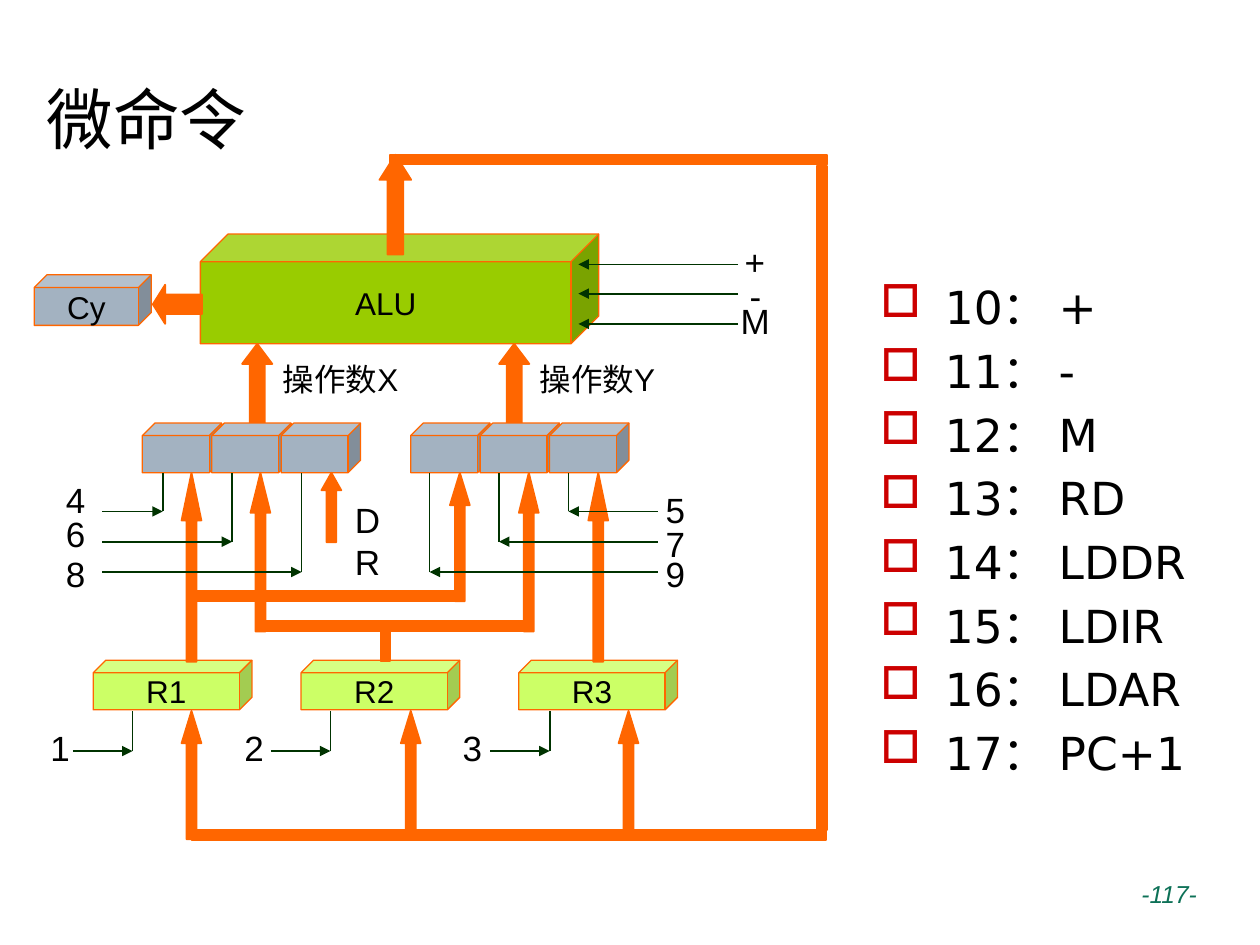
from pptx import Presentation
from pptx import util as u
from pptx.dml.color import RGBColor
from pptx.enum import shapes, text
from pptx.oxml.ns import qn
from lxml import etree

BLACK = RGBColor(0x00, 0x00, 0x00)
ORANGE = RGBColor(0xFF, 0x66, 0x00)
ALU_GREEN = RGBColor(0x99, 0xCC, 0x00)
REGISTER_GREEN = RGBColor(0xCC, 0xFF, 0x66)
GREY = RGBColor(0xA3, 0xB2, 0xC1)
SIGNAL_GREEN = RGBColor(0x00, 0x33, 0x00)
PAGE_GREEN = RGBColor(0x0D, 0x71, 0x57)
BULLET_RED = "CC0000"
CJK_FONT = "Noto Sans CJK SC"

INPUT_TOP, INPUT_BOTTOM = 8.53, 9.53
REGISTER_TOP, REGISTER_BOTTOM = 13.31, 14.33
BAR = 0.2
COMMANDS = ["10： +", "11： -", "12： M", "13： RD", "14： LDDR",
            "15： LDIR", "16： LDAR", "17： PC+1"]


def cm(*lengths):
    return [u.Cm(length) for length in lengths]


def style(para, size, font="Arial", color=BLACK, align=None):
    para.alignment = align
    para.font.size = u.Pt(size)
    para.font.name = font
    para.font.color.rgb = color
    defaults = para._p.pPr.find(qn("a:defRPr"))
    etree.SubElement(defaults, qn("a:ea"), typeface=CJK_FONT)


def add_text(page, words, x, y, w, h, size=20, wrap=False,
             align=text.PP_ALIGN.CENTER, **look):
    box = page.shapes.add_textbox(*cm(x, y, w, h))
    frame = box.text_frame
    frame.word_wrap = wrap
    para = frame.paragraphs[0]
    para.text = words
    style(para, size, align=align, **look)
    return box


def add_block(page, kind, x, y, w, h, fill, line_width=1):
    block = page.shapes.add_shape(kind, *cm(x, y, w, h))
    block.shadow.inherit = False
    block.fill.solid()
    block.fill.fore_color.rgb = fill
    block.line.color.rgb = ORANGE
    block.line.width = u.Pt(line_width)
    return block


def add_cube(page, x, y, w, h, fill, words=""):
    cube = add_block(page, shapes.MSO_SHAPE.CUBE, x, y, w, h, fill, 0.75)
    cube.adjustments[0] = 0.252
    if words:
        frame = cube.text_frame
        frame.word_wrap = False
        frame.vertical_anchor = text.MSO_ANCHOR.MIDDLE
        frame.text = words
        style(frame.paragraphs[0], 18, align=text.PP_ALIGN.CENTER)


def add_arrow(page, x, y, w, h, head, rotation=180):
    arrow = add_block(page, shapes.MSO_SHAPE.DOWN_ARROW, x, y, w, h, ORANGE)
    arrow.adjustments[0] = 0.5
    arrow.adjustments[1] = head
    arrow.rotation = rotation


def add_bus_arrow(page, x, y, h):
    add_arrow(page, x, y, 0.4, h, 0.63 * h)


def add_bar(page, x, y, w, h):
    add_block(page, shapes.MSO_SHAPE.RECTANGLE, x, y, w, h, ORANGE)


def add_line(page, x1, y1, x2, y2, arrow=False):
    line = page.shapes.add_connector(
        shapes.MSO_CONNECTOR.STRAIGHT, *cm(x1, y1, x2, y2))
    line.line.color.rgb = SIGNAL_GREEN
    line.line.width = u.Pt(1)
    if arrow:
        etree.SubElement(line.line._get_or_add_ln(), qn("a:tailEnd"),
                         type="triangle")
    etree.SubElement(line._element.spPr, qn("a:effectLst"))


def add_signal(page, name, label_x, label_y, start, end, y, top):
    add_line(page, start, y, end, y, arrow=True)
    add_line(page, end, y, end, top)
    add_text(page, name, label_x, label_y, 0.91, 1.09)


def add_commands(page):
    box = page.shapes.add_textbox(*cm(17.5, 5.51, 6.86, 11.38))
    frame = box.text_frame
    frame.word_wrap = True
    for index, command in enumerate(COMMANDS):
        para = frame.add_paragraph() if index else frame.paragraphs[0]
        para.text = command
        props = para._p.get_or_add_pPr()
        props.set("marL", str(u.Cm(1.3)))
        props.set("indent", str(-u.Cm(1.3)))
        color = etree.SubElement(props, qn("a:buClr"))
        etree.SubElement(color, qn("a:srgbClr"), val=BULLET_RED)
        etree.SubElement(props, qn("a:buChar"), char="□")
        if index:
            para.space_before = u.Pt(5.2)
        style(para, 26, font="DejaVu Sans")


def add_alu(page):
    add_cube(page, 4.04, 4.72, 8.03, 2.21, ALU_GREEN, "ALU")
    add_cube(page, 0.69, 5.54, 2.36, 1.02, GREY, "Cy")
    add_arrow(page, 3.18, 5.64, 0.79, 0.99, 0.314, rotation=90)
    add_arrow(page, 7.65, 3.12, 0.64, 2.01, 0.788)
    for operand, x in (("X", 4.88), ("Y", 10.06)):
        add_arrow(page, x, 6.93, 0.61, 1.6, 0.665)
        add_text(page, "操作数" + operand, x + 0.18, 7.14, 3.61, 1.02,
                 size=18, wrap=True)
    for y in (5.33, 5.92, 6.53):
        add_line(page, 14.88, y, 11.66, y, arrow=True)
    for name, x, y, w in (("+", 14.76, 4.72, 0.91), ("-", 14.86, 5.41, 0.74),
                          ("M", 14.68, 5.92, 1.09)):
        add_text(page, name, x, y, w, 1.09)


def add_datapath(page):
    for left in (2.87, 8.28):
        for index in range(3):
            add_cube(page, left + 1.4 * index, INPUT_TOP, 1.6, 1, GREY)
    for name, x in (("R1", 1.88), ("R2", 6.07), ("R3", 10.46)):
        add_cube(page, x, REGISTER_TOP, 3.2, 1, REGISTER_GREEN, name)
    for x, h in ((3.66, 3.81), (11.86, 3.81), (9.07, 2.59),
                 (5.05, 3.2), (10.46, 3.2), (6.48, 1.4)):
        add_bus_arrow(page, x, INPUT_BOTTOM, h)
    for x in (3.66, 8.08, 12.47):
        add_bus_arrow(page, x, REGISTER_BOTTOM, 2.59)
    for x, y, length in ((7.87, 3.12, 8.81), (5.26, 12.52, 5.38),
                         (3.86, 11.91, 5.41), (3.86, 16.74, 12.8)):
        add_bar(page, x, y, length, BAR)
    for x, y, length in ((16.47, 3.34, 13.39), (7.67, 12.52, 0.81)):
        add_bar(page, x, y, BAR, length)
    add_text(page, "DR", 6.65, 9.93, 1.52, 1.09)


def add_signals(page):
    for name, label_x, start in (("1", 0.76, 1.47), ("2", 4.67, 5.46),
                                 ("3", 9.07, 9.88)):
        add_signal(page, name, label_x, 14.53, start, start + 1.2,
                   15.14, REGISTER_BOTTOM)
    rows = (("4", 9.53, "5", 9.73), ("6", 10.21, "7", 10.41),
            ("8", 11.02, "9", 11.02))
    for index, (left, left_y, right, right_y) in enumerate(rows):
        y = 10.31 + 0.61 * index
        step = 1.4 * index
        add_signal(page, left, 1.07, left_y, 2.06, 3.28 + step, y, INPUT_BOTTOM)
        add_signal(page, right, 13.16, right_y, 13.26, 11.46 - step, y,
                   INPUT_BOTTOM)


def main():
    deck = Presentation()
    deck.slide_width, deck.slide_height = cm(25.4, 19.05)
    page = deck.slides.add_slide(deck.slide_layouts[6])
    title = add_text(page, "微命令", 0.69, 0.13, 23.72, 3.18, size=38, wrap=True,
                     align=text.PP_ALIGN.LEFT, font=CJK_FONT)
    title.text_frame.vertical_anchor = text.MSO_ANCHOR.BOTTOM
    add_commands(page)
    add_alu(page)
    add_datapath(page)
    add_signals(page)
    add_text(page, "-117-", 21.69, 17.6, 2.69, 1.32, size=14, wrap=True,
             align=text.PP_ALIGN.RIGHT, color=PAGE_GREEN
             ).text_frame.paragraphs[0].font.italic = True
    deck.save("out.pptx")


if __name__ == "__main__":
    main()
